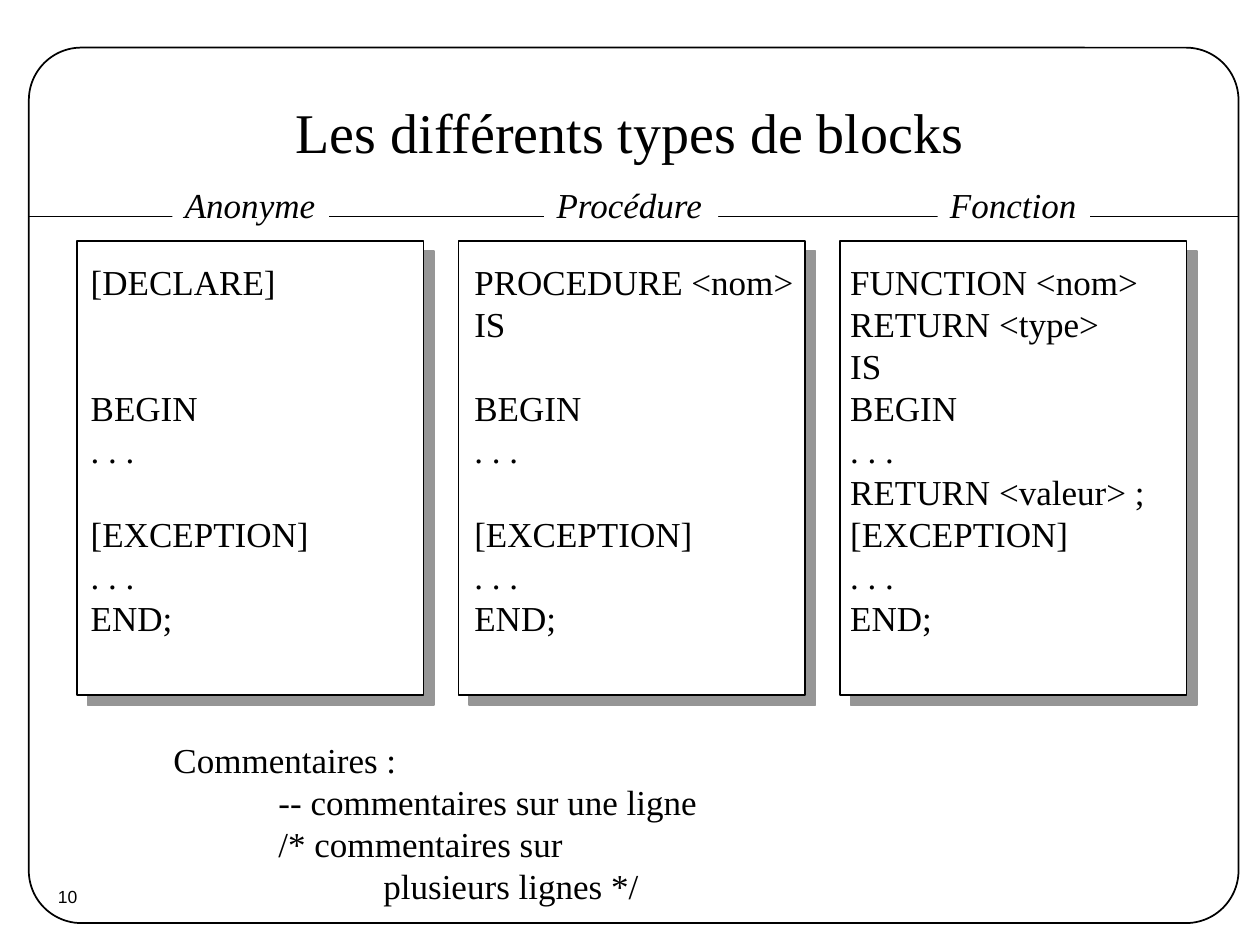
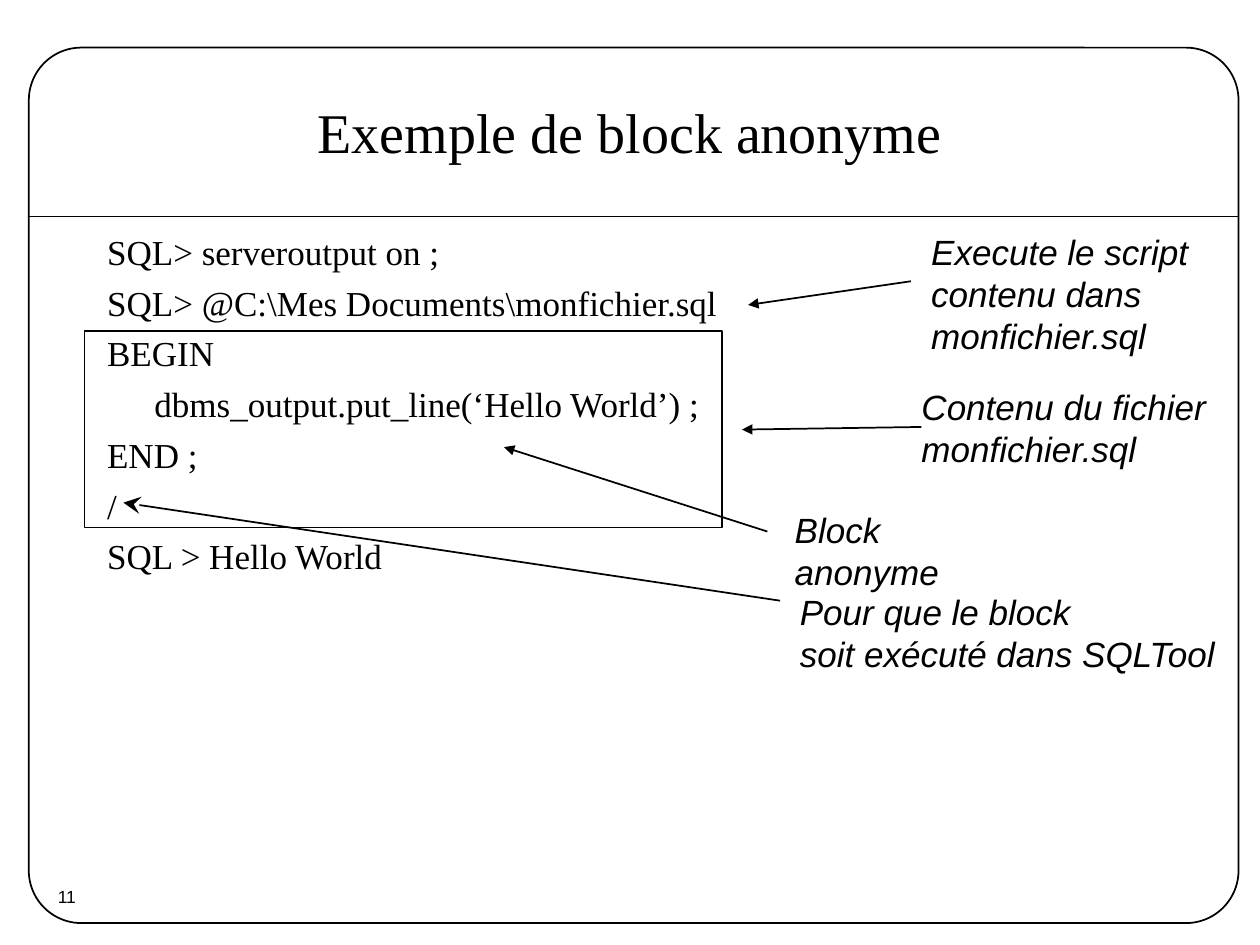
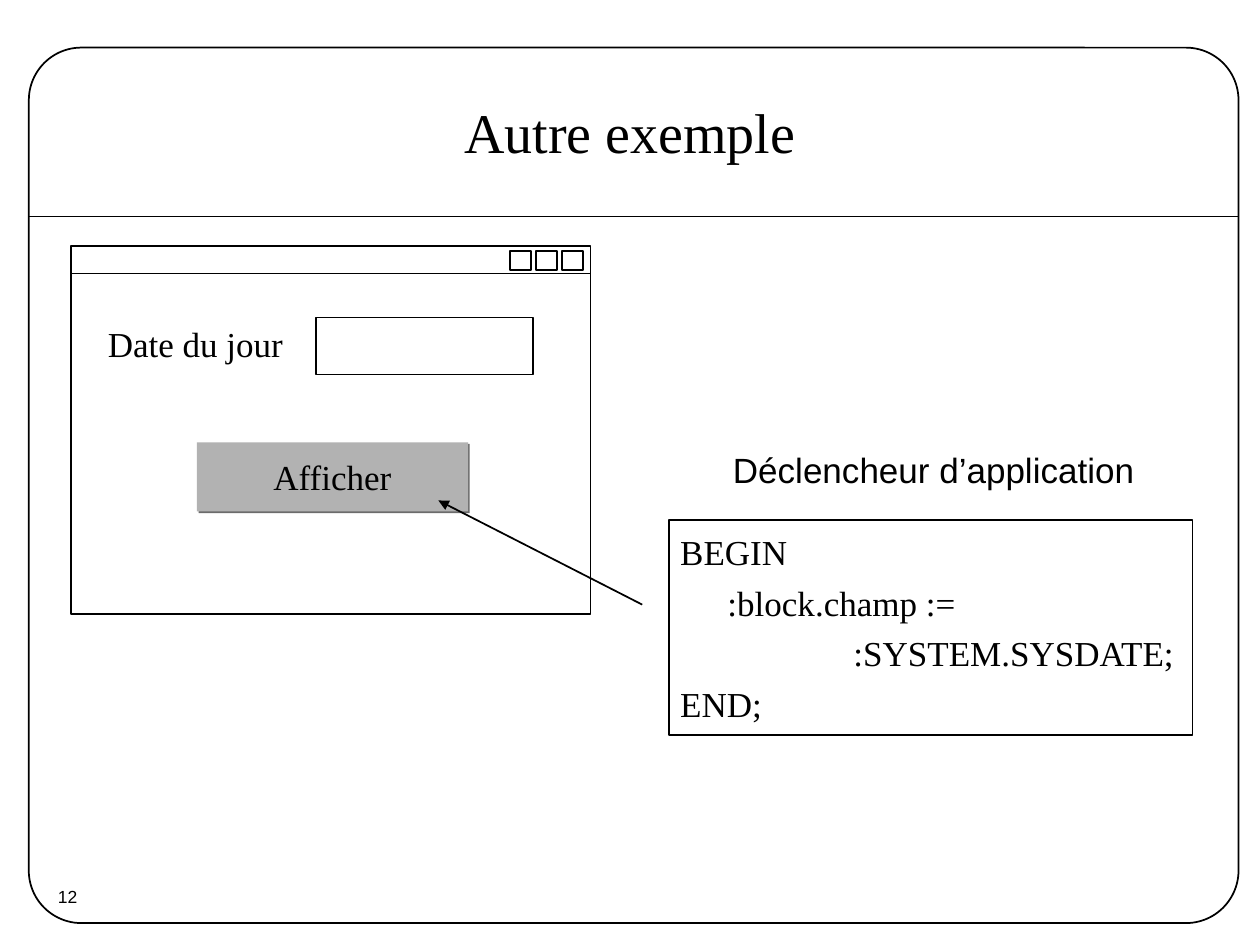
import pptx
import pptx.dml.color
import pptx.enum.shapes
import pptx.enum.text
import pptx.oxml.ns
import pptx.oxml.xmlchemy
import pptx.util
from lxml import etree

Pt = pptx.util.Pt
RGBColor = pptx.dml.color.RGBColor
qn = pptx.oxml.ns.qn
SHAPE = pptx.enum.shapes.MSO_SHAPE
ALIGN = pptx.enum.text.PP_ALIGN
ANCHOR = pptx.enum.text.MSO_ANCHOR

# Shared style
BLACK = RGBColor(0x00, 0x00, 0x00)
WHITE = RGBColor(0xFF, 0xFF, 0xFF)
BUTTON_GREY = RGBColor(0xB2, 0xB2, 0xB2)
BUTTON_SHADOW = RGBColor(0x6B, 0x6B, 0x6B)
CARD_SHADOW = RGBColor(0x96, 0x96, 0x96)
SERIF = "Times New Roman"
SANS = "Arial"
TEXT_SIZE = 20
LINE_HEIGHT = 24
TITLE_ONLY, TITLE_AND_BODY = 5, 1
FIRST_NUMBER = 10


def place(shape, left, top, width, height):
    shape.left, shape.top = Pt(left), Pt(top)
    shape.width, shape.height = Pt(width), Pt(height)


def add_span(para, text, font=SERIF, size=TEXT_SIZE, italic=False):
    span = para.add_run()
    span.text = text
    span.font.name = font
    span.font.size = Pt(size)
    span.font.italic = italic
    span.font.color.rgb = BLACK


def write_lines(frame, lines, lead=0, **style):
    """Write one paragraph per line; (text, indent) indents it, None leaves a gap."""
    gap = 0
    para = frame.paragraphs[0]
    for index, line in enumerate(lines):
        if line is None:
            gap += LINE_HEIGHT
            continue
        text, indent = line if isinstance(line, tuple) else (line, 0)
        if index:
            para = frame.add_paragraph()
        para.line_spacing = Pt(LINE_HEIGHT)
        para.space_before = Pt(lead + gap)
        properties = para._p.get_or_add_pPr()
        properties.set("marL", str(Pt(indent)))
        properties.set("indent", "0")
        etree.SubElement(properties, qn("a:buNone"))
        add_span(para, text, **style)
        gap = 0


def add_text(page, left, top, width, height, lines, **style):
    box = page.shapes.add_textbox(Pt(left), Pt(top), Pt(width), Pt(height))
    box.text_frame.word_wrap = False
    write_lines(box.text_frame, lines, **style)
    return box


def add_box(page, left, top, width, height, fill=None, line=BLACK, kind=SHAPE.RECTANGLE):
    box = page.shapes.add_shape(kind, Pt(left), Pt(top), Pt(width), Pt(height))
    box.shadow.inherit = False
    if fill is None:
        box.fill.background()
    else:
        box.fill.solid()
        box.fill.fore_color.rgb = fill
    if line is None:
        box.line.fill.background()
    else:
        box.line.color.rgb = line
        box.line.width = Pt(1)
    return box


def add_shadow(box, color, distance):
    effects = box._element.spPr.find(qn("a:effectLst"))
    shadow = etree.SubElement(effects, qn("a:outerShdw"), dist=str(Pt(distance)),
                              dir=str(45 * 60000), algn="ctr", rotWithShape="0")
    etree.SubElement(shadow, qn("a:srgbClr"), val=str(color))


def add_line(page, start, end, head=None, head_size="med"):
    line = page.shapes.add_connector(pptx.enum.shapes.MSO_CONNECTOR.STRAIGHT,
                                     *map(Pt, start + end))
    line.line.color.rgb = BLACK
    line.line.width = Pt(1)
    if head:
        etree.SubElement(line.line._get_or_add_ln(), qn("a:tailEnd"),
                         type=head, w=head_size, len=head_size)
    etree.SubElement(line._element.spPr, qn("a:effectLst"))
    return line


def add_page(deck, layout, title):
    page = deck.slides.add_slide(deck.slide_layouts[layout])
    heading = page.shapes.title
    place(heading, 54, 30, 612, 90)
    heading.text_frame.vertical_anchor = ANCHOR.MIDDLE
    para = heading.text_frame.paragraphs[0]
    para.alignment = ALIGN.CENTER
    add_span(para, title, size=32)
    # Page number
    number = FIRST_NUMBER + len(deck.slides) - 1
    box = page.shapes.add_textbox(Pt(26), Pt(502.5), Pt(33), Pt(19.5))
    para = box.text_frame.paragraphs[0]
    para.space_before = Pt(6.2)
    add_span(para, str(number), font=SANS, size=10)
    return page


def fill_body(page, left, top, width, height, lines):
    body = page.placeholders[1]
    place(body, left, top, width, height)
    body.text_frame.auto_size = pptx.enum.text.MSO_AUTO_SIZE.NONE
    write_lines(body.text_frame, lines, lead=5)


def frame_master(deck, page):
    """Draw the rounded frame and title rule, then hand them to the master."""
    frame = add_box(page, 16.5, 27.25, 691.25, 500.25, kind=SHAPE.ROUNDED_RECTANGLE)
    frame.adjustments[0] = 0.06
    rule = add_line(page, (16.5, 123.75), (707.25, 123.75))
    tree = deck.slide_master.shapes.element
    for offset, shape in enumerate((frame, rule)):
        shape._element.xpath(".//p:cNvPr")[0].set("id", str(100 + offset))
        tree.insert(2 + offset, shape._element)


def build_block_types(deck):
    page = add_page(deck, TITLE_ONLY, "Les différents types de blocks")
    frame_master(deck, page)
    ending = ["[EXCEPTION]", ". . .", "END;"]
    # Label, label left and width, code left and width, code lines
    blocks = [
        ("Anonyme", 98.5, 89.5, 44.75, 139,
         ["[DECLARE]", None, None, "BEGIN", ". . .", None]),
        ("Procédure", 311, 99.5, 264, 197,
         ["PROCEDURE <nom>", "IS", None, "BEGIN", ". . .", None]),
        ("Fonction", 535.75, 87, 478.75, 183,
         ["FUNCTION <nom>", "RETURN <type>", "IS", "BEGIN", ". . .", "RETURN <valeur> ;"]),
    ]
    for column, (label, label_left, label_width, left, width, code) in enumerate(blocks):
        card = add_box(page, 44 + 218 * column, 137.5, 198, 259.5, WHITE)
        add_shadow(card, CARD_SHADOW, 8.5)
        add_text(page, left, 145.5, width, 223, code + ending)
        tag = add_text(page, label_left, 101.5, label_width, 31, [label], italic=True)
        tag.fill.solid()
        tag.fill.fore_color.rgb = WHITE
    add_text(page, 92, 418.5, 314, 103.5, [
        "Commentaires :",
        ("-- commentaires sur une ligne", 60),
        ("/* commentaires sur", 60),
        ("plusieurs lignes */", 120),
    ])


def build_anonymous_block(deck):
    page = add_page(deck, TITLE_AND_BODY, "Exemple de block anonyme")
    fill_body(page, 54, 128, 612, 382, [
        "SQL> serveroutput on ;",
        "SQL> @C:\\Mes Documents\\monfichier.sql",
        "BEGIN",
        ("dbms_output.put_line(‘Hello World’) ;", 27),
        "END ;",
        "/",
        "SQL > Hello World",
    ])
    add_box(page, 48.25, 189.25, 364.5, 112.25)
    # Remarks and their arrows
    remarks = [
        (525, 128, 167, 79, ["Execute le script", "contenu dans", "monfichier.sql"]),
        (519.5, 217, 177, 55, ["Contenu du fichier", "monfichier.sql"]),
        (447, 287.25, 151, 31.5, ["Block anonyme"]),
        (450, 334, 255, 55, ["Pour que le block", "soit exécuté dans SQLTool"]),
    ]
    for left, top, width, height, lines in remarks:
        add_text(page, left, top, width, height, lines, font=SANS, italic=True)
    add_line(page, (520.5, 160.75), (427.5, 174.25), "triangle")
    add_line(page, (526.5, 244), (424, 245.5), "triangle")
    add_line(page, (438.5, 303.75), (288, 255.5), "triangle")
    add_line(page, (445.75, 343.25), (70.5, 287.25), "stealth", "lg")


def build_trigger_example(deck):
    page = add_page(deck, TITLE_AND_BODY, "Autre exemple")
    fill_body(page, 381.5, 299.5, 308, 181, [
        "BEGIN",
        (":block.champ :=", 27),
        (":SYSTEM.SYSDATE;", 99),
        "END;",
    ])
    # Window with its title bar and three buttons
    add_box(page, 40.5, 140.5, 297, 210.25, WHITE)
    add_line(page, (40.5, 156.25), (337.5, 156.25))
    for button in range(3):
        add_box(page, 291.5 + 14.75 * button, 143.5, 12, 10.75, WHITE)
    # Form field and button
    add_text(page, 54.5, 181, 114.5, 31.5, ["Date du jour"])
    add_box(page, 180.75, 181.5, 123.75, 32.5, WHITE)
    button = add_box(page, 112.5, 252.75, 155, 39.5, BUTTON_GREY, None)
    add_shadow(button, BUTTON_SHADOW, 1.4)
    button.text_frame.word_wrap = False
    button.text_frame.vertical_anchor = ANCHOR.MIDDLE
    write_lines(button.text_frame, ["Afficher"])
    button.text_frame.paragraphs[0].alignment = ALIGN.CENTER
    # Trigger code
    add_line(page, (367, 345.5), (250.5, 286), "triangle")
    add_box(page, 382.25, 297.25, 299.25, 122.75)
    add_text(page, 411.75, 252.75, 244, 31.5, ["Déclencheur d’application"], font=SANS)


def main():
    deck = pptx.Presentation()
    deck.slide_width, deck.slide_height = Pt(720), Pt(540)
    build_block_types(deck)
    build_anonymous_block(deck)
    build_trigger_example(deck)
    deck.save("out.pptx")


if __name__ == "__main__":
    main()
